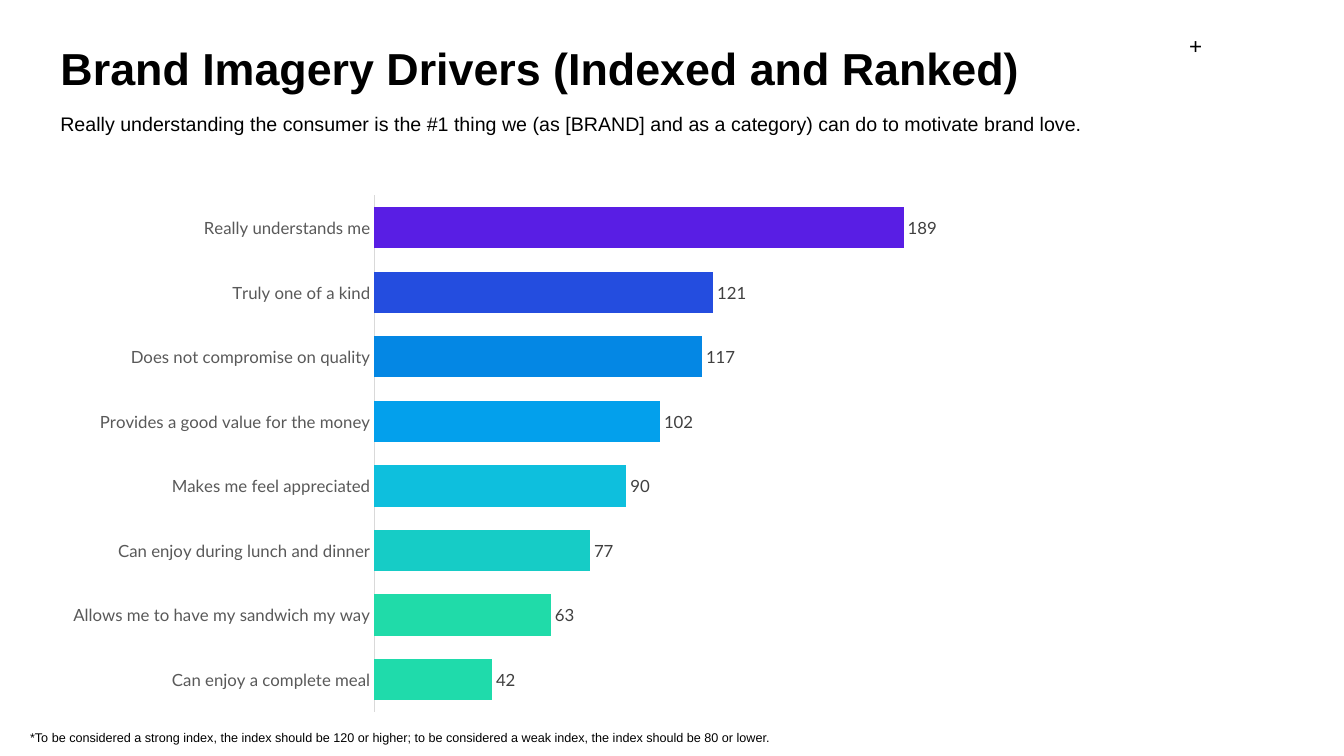
from dataclasses import dataclass

from lxml.etree import SubElement
from pptx import Presentation
from pptx.chart.data import CategoryChartData
from pptx.dml.color import RGBColor
from pptx.enum.chart import XL_CHART_TYPE, XL_LABEL_POSITION, XL_TICK_MARK
from pptx.enum.text import MSO_ANCHOR, MSO_AUTO_SIZE, PP_ALIGN
from pptx.oxml.ns import qn
from pptx.util import Inches, Pt


@dataclass(frozen=True)
class Theme:
    """Colours, fonts and type sizes of the slide."""

    text_font: str = "Arial"
    chart_font: str = "Lato"
    ink: str = "000000"
    category: str = "595959"
    value: str = "404040"
    axis: str = "D9D9D9"
    bars: tuple = ("591EE4", "244DDF", "0487E4", "03A0EC",
                   "0EBFDD", "16CCC6", "20DBA9", "1FDBAB")
    title: int = 32
    mark: int = 16
    subtitle: int = 14
    label: int = 12
    chart: int = 10
    note: int = 9


@dataclass(frozen=True)
class Box:
    """A rectangle on a grid of 160 columns by 90 rows."""

    column: float
    row: float
    columns: float
    rows: float

    def inner(self, column, row, columns, rows):
        """Return a box placed from this box's corner."""
        return Box(self.column + column, self.row + row, columns, rows)

    def lengths(self):
        """Return left, top, width and height."""
        cells = (self.column, self.row, self.columns, self.rows)
        return [Inches(cell / 12) for cell in cells]


THEME = Theme()
DRIVERS = [
    ("Really understands me", 189),
    ("Truly one of a kind", 121),
    ("Does not compromise on quality", 117),
    ("Provides a good value for the money", 102),
    ("Makes me feel appreciated", 90),
    ("Can enjoy during lunch and dinner", 77),
    ("Allows me to have my sandwich my way", 63),
    ("Can enjoy a complete meal", 42),
]


def style_font(font, name, size, color, bold=False):
    """Set the look of a font."""
    font.name = name
    font.size = Pt(size)
    font.bold = bold
    font.color.rgb = RGBColor.from_string(color)


def fill_text(shape, text, size, anchor=MSO_ANCHOR.TOP, align=PP_ALIGN.LEFT, bold=False):
    """Write one paragraph into a shape and return it."""
    frame = shape.text_frame
    frame.word_wrap = True
    frame.auto_size = MSO_AUTO_SIZE.NONE
    frame.vertical_anchor = anchor
    frame.text = text
    para = frame.paragraphs[0]
    para.alignment = align
    style_font(para.font, THEME.text_font, size, THEME.ink, bold)
    return para


def add_text(page, box, text, size, **layout):
    """Add a text box with one paragraph."""
    fill_text(page.shapes.add_textbox(*box.lengths()), text, size, **layout)


def add_header(page, box):
    """Place the title, the line below it and the corner mark."""
    title = page.shapes.title
    title.left, title.top, title.width, title.height = box.inner(0, 0, 136.5, 13).lengths()
    para = fill_text(title, "Brand Imagery Drivers (Indexed and Ranked)",
                     THEME.title, MSO_ANCHOR.MIDDLE, bold=True)
    para.line_spacing = 0.9
    add_text(page, box.inner(0, 10.7, box.columns, 4),
             "Really understanding the consumer is the #1 thing we (as [BRAND] "
             "and as a category) can do to motivate brand love.", THEME.subtitle)
    add_text(page, box.inner(134.2, 1.2, 4.3, 4.4), "+", THEME.mark,
             anchor=MSO_ANCHOR.MIDDLE, align=PP_ALIGN.CENTER)


def set_plot_area(chart, **shares):
    """Fix the inner plot area as shares of the chart."""
    plot_area = chart.plots[0]._element.getparent()
    layout = plot_area.find(qn("c:layout"))
    if layout is None:
        layout = SubElement(plot_area, qn("c:layout"))
        plot_area.insert(0, layout)
    manual = SubElement(layout, qn("c:manualLayout"))
    settings = {"layoutTarget": "inner", "xMode": "edge", "yMode": "edge", **shares}
    for name, setting in settings.items():
        SubElement(manual, qn(f"c:{name}")).set("val", str(setting))


def add_driver_chart(page, box):
    """Place the ranked bar chart, strongest driver on top."""
    data = CategoryChartData()
    ranked = DRIVERS[::-1]
    data.categories = [name for name, index in ranked]
    data.add_series("Series 1", [index for name, index in ranked])
    chart = page.shapes.add_chart(XL_CHART_TYPE.BAR_CLUSTERED, *box.lengths(), data).chart
    chart.has_legend = False
    chart.has_title = False
    style_font(chart.font, THEME.text_font, THEME.chart, THEME.ink)
    set_plot_area(chart, x=0.355, y=0.02, w=0.625, h=0.97)

    names = chart.category_axis
    names.major_tick_mark = names.minor_tick_mark = XL_TICK_MARK.NONE
    names.format.line.color.rgb = RGBColor.from_string(THEME.axis)
    names.format.line.width = Pt(0.75)
    style_font(names.tick_labels.font, THEME.chart_font, THEME.label, THEME.category)
    scale = chart.value_axis
    scale.minimum_scale, scale.maximum_scale = 0, 200
    scale.has_major_gridlines = False
    scale.visible = False

    plot = chart.plots[0]
    plot.gap_width = 56
    plot.vary_by_categories = False
    plot.has_data_labels = True
    labels = plot.data_labels
    labels.show_value = True
    labels.position = XL_LABEL_POSITION.OUTSIDE_END
    style_font(labels.font, THEME.chart_font, THEME.label, THEME.value)
    for number, color in enumerate(reversed(THEME.bars)):
        fill = plot.series[0].points[number].format.fill
        fill.solid()
        fill.fore_color.rgb = RGBColor.from_string(color)


def add_footnote(page, box):
    """Place the note on reading the index."""
    add_text(page, box, "*To be considered a strong index, the index should be 120 or "
             "higher; to be considered a weak index, the index should be 80 or lower.",
             THEME.note)


def main():
    """Build and save the deck."""
    deck = Presentation()
    deck.slide_width, deck.slide_height = Inches(160 / 12), Inches(90 / 12)
    page = deck.slides.add_slide(deck.slide_layouts.get_by_name("Title Only"))
    add_header(page, Box(6, 2, 153, 15))
    add_driver_chart(page, Box(6.7, 22, 106.7, 63.4))
    add_footnote(page, Box(2.4, 86.3, 120.5, 3))
    deck.save("out.pptx")


if __name__ == "__main__":
    main()
